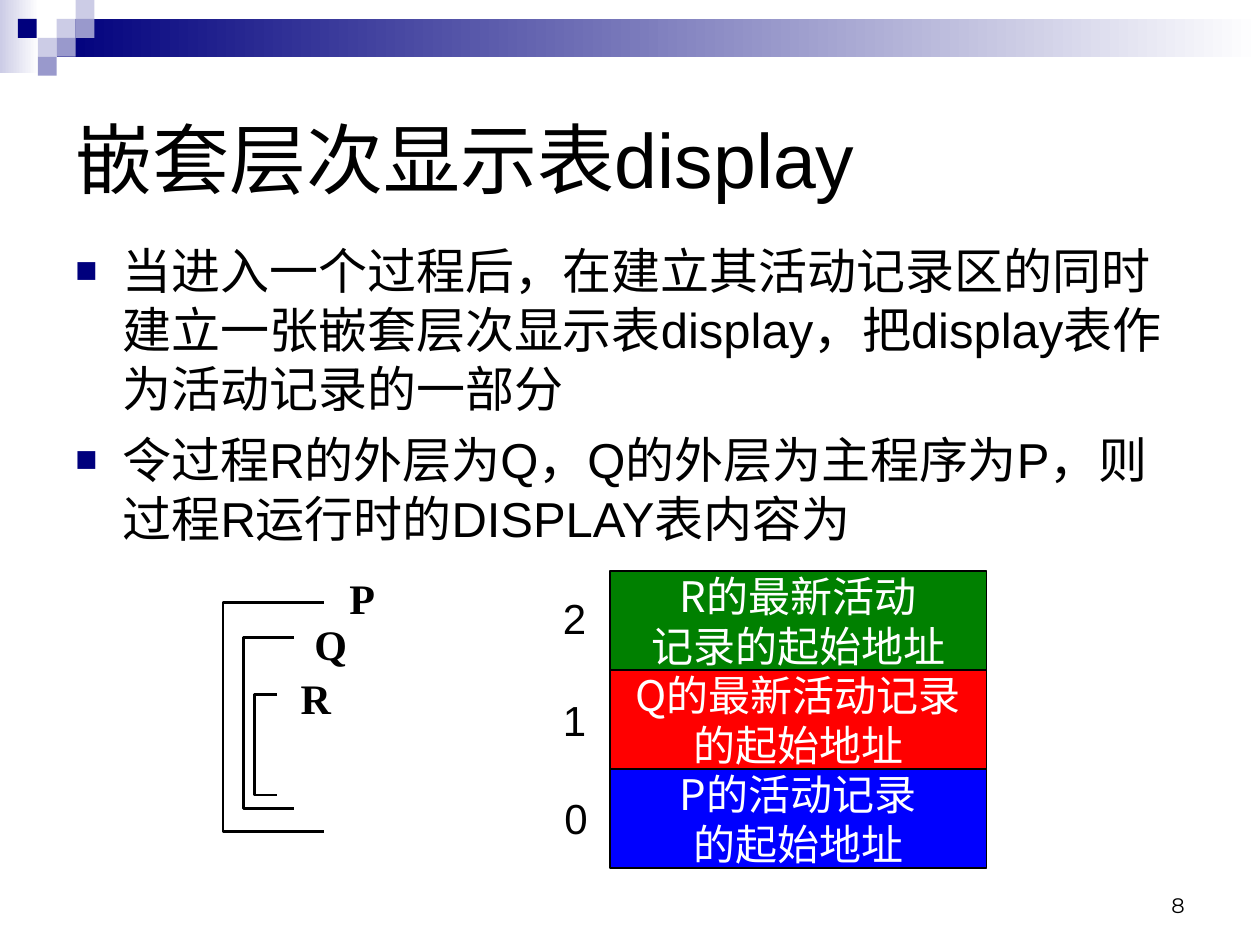
from dataclasses import dataclass

from lxml import etree
from pptx import Presentation
from pptx.dml.color import RGBColor
from pptx.enum.shapes import MSO_SHAPE
from pptx.enum.text import MSO_ANCHOR, PP_ALIGN
from pptx.oxml.ns import qn
from pptx.util import Pt

RECTANGLE = MSO_SHAPE.RECTANGLE
LEFT, CENTER, RIGHT = PP_ALIGN.LEFT, PP_ALIGN.CENTER, PP_ALIGN.RIGHT
TOP, MIDDLE, BOTTOM = MSO_ANCHOR.TOP, MSO_ANCHOR.MIDDLE, MSO_ANCHOR.BOTTOM

BLACK = RGBColor(0x00, 0x00, 0x00)
WHITE = RGBColor(0xFF, 0xFF, 0xFF)
NAVY = RGBColor(0x00, 0x00, 0x7D)
PALE = RGBColor(0xCC, 0xCC, 0xE6)
LILAC = RGBColor(0x99, 0x99, 0xCC)
GREEN = RGBColor(0x00, 0x80, 0x00)
RED = RGBColor(0xFF, 0x00, 0x00)
BLUE = RGBColor(0x00, 0x00, 0xFF)

TILE = 10.8


@dataclass(frozen=True)
class Area:
    left: float
    top: float
    width: float
    height: float

    def lengths(self) -> tuple:
        return Pt(self.left), Pt(self.top), Pt(self.width), Pt(self.height)


@dataclass(frozen=True)
class Style:
    size: float
    name: str = "Arial"
    color: RGBColor = BLACK
    bold: bool = False
    align: PP_ALIGN = LEFT
    anchor: MSO_ANCHOR = TOP
    wrap: bool = True


@dataclass(frozen=True)
class Entry:
    level: str
    label_left: float
    label_top: float
    lines: tuple
    color: RGBColor


@dataclass(frozen=True)
class Scope:
    bracket: Area
    name: str
    label_left: float
    label_top: float


TITLE = Style(44, anchor=MIDDLE)
BODY = Style(28)
NUMBER = Style(12, name="Montserrat", align=RIGHT, anchor=BOTTOM)
LEVEL = Style(24, wrap=False)
CELL = Style(24, name="Noto Sans CJK SC", color=WHITE, align=CENTER,
             anchor=MIDDLE, wrap=False)
SCOPE = Style(24, name="Times New Roman", bold=True, align=CENTER,
              anchor=MIDDLE, wrap=False)

# Small squares of the header: left, top, colour
TILES = [
    (3 * TILE, TILE, PALE),
    (4 * TILE, 0, PALE),
    (4 * TILE, TILE, LILAC),
    (2 * TILE, 2 * TILE, PALE),
    (10.2, TILE, NAVY),
    (3 * TILE, 2 * TILE, LILAC),
    (2 * TILE, 3 * TILE, LILAC),
]
POINTS = [
    "当进入一个过程后，在建立其活动记录区的同时建立一张嵌套层次显示表display，"
    "把display表作为活动记录的一部分",
    "令过程R的外层为Q，Q的外层为主程序为P，则过程R运行时的DISPLAY表内容为",
]
ENTRIES = [
    Entry("2", 314.6, 334.8, ("R的最新活动", "记录的起始地址"), GREEN),
    Entry("1", 314.6, 393.1, ("Q的最新活动记录", "的起始地址"), RED),
    Entry("0", 315.4, 449.3, ("P的活动记录", "的起始地址"), BLUE),
]
SCOPES = [
    Scope(Area(127.4, 344.2, 57.6, 131), "P", 180.7, 326.9),
    Scope(Area(139, 364.3, 28.8, 97.9), "Q", 162.7, 352.8),
    Scope(Area(145.4, 396.7, 13, 57.6), "R", 154.1, 383.8),
]


def write(frame, lines, style: Style) -> None:
    frame.word_wrap = style.wrap
    frame.vertical_anchor = style.anchor
    font_values = {"size": Pt(style.size), "name": style.name, "bold": style.bold}
    for index, line in enumerate(lines):
        para = frame.paragraphs[0] if index == 0 else frame.add_paragraph()
        para.alignment = style.align
        span = para.add_run()
        span.text = line
        for key, value in font_values.items():
            setattr(span.font, key, value)
        span.font.color.rgb = style.color


def add_text(page, area: Area, lines, style: Style):
    box = page.shapes.add_textbox(*area.lengths())
    write(box.text_frame, lines, style)
    return box


def add_rectangle(page, area: Area, color: RGBColor):
    box = page.shapes.add_shape(RECTANGLE, *area.lengths())
    box.shadow.inherit = False
    box.fill.solid()
    box.fill.fore_color.rgb = color
    box.line.fill.background()
    return box


def add_fade(page, area: Area, color: RGBColor) -> None:
    box = add_rectangle(page, area, color)
    box.fill.gradient()
    box.fill.gradient_angle = 0
    for stop, shade, position in zip(box.fill.gradient_stops, (color, WHITE), (0, 1)):
        stop.color.rgb = shade
        stop.position = position


def add_bullet(para) -> None:
    properties = para._p.get_or_add_pPr()
    properties.set("marL", str(Pt(27)))
    properties.set("indent", str(-Pt(27)))
    color = etree.SubElement(properties, qn("a:buClr"))
    etree.SubElement(color, qn("a:srgbClr"), val=str(NAVY))
    etree.SubElement(properties, qn("a:buSzPct"), val="75000")
    etree.SubElement(properties, qn("a:buFont"), typeface="Arial")
    etree.SubElement(properties, qn("a:buChar"), char="■")


def add_entry(page, area: Area, entry: Entry) -> None:
    box = add_rectangle(page, area, entry.color)
    box.line.color.rgb = BLACK
    box.line.width = Pt(1)
    margins = {"margin_left": 1.5, "margin_right": 1.5,
               "margin_top": 0.75, "margin_bottom": 0.75}
    for key, value in margins.items():
        setattr(box.text_frame, key, Pt(value))
    write(box.text_frame, entry.lines, CELL)
    add_text(page, Area(entry.label_left, entry.label_top, 27.4, 36),
             [entry.level], LEVEL)


def add_scope(page, scope: Scope) -> None:
    left, top, width, height = scope.bracket.lengths()
    builder = page.shapes.build_freeform(left + width, top)
    builder.add_line_segments(
        [(left, top), (left, top + height), (left + width, top + height)], close=False)
    bracket = builder.convert_to_shape()
    bracket.shadow.inherit = False
    bracket.fill.background()
    bracket.line.color.rgb = BLACK
    bracket.line.width = Pt(1.5)
    add_text(page, Area(scope.label_left, scope.label_top, 52.6, 29.5),
             [scope.name], SCOPE)


def main() -> None:
    deck = Presentation()
    deck.slide_width, deck.slide_height = Pt(720), Pt(540)
    page = deck.slides.add_slide(deck.slide_layouts[6])

    # Header band
    add_fade(page, Area(0, 0, 22.3, 41.8), PALE)
    add_fade(page, Area(3 * TILE, TILE, 720 - 3 * TILE, 2 * TILE), NAVY)
    for left, top, color in TILES:
        add_rectangle(page, Area(left, top, TILE, TILE), color)

    # Page number, title and body
    add_text(page, Area(516, 492, 168, 36), ["8"], NUMBER)
    add_text(page, Area(36, 36, 648, 108), ["嵌套层次显示表display"], TITLE)
    body = add_text(page, Area(36, 133.9, 648, 306), POINTS, BODY)
    for index, para in enumerate(body.text_frame.paragraphs):
        if index:
            para.space_before = Pt(7)
        add_bullet(para)

    # Display table with its level numbers
    for row, entry in enumerate(ENTRIES):
        add_entry(page, Area(348.5, 326.2 + 56.6 * row, 215.3, 56.6), entry)

    # Nested procedure scopes
    for scope in SCOPES:
        add_scope(page, scope)

    deck.save("out.pptx")


if __name__ == "__main__":
    main()
